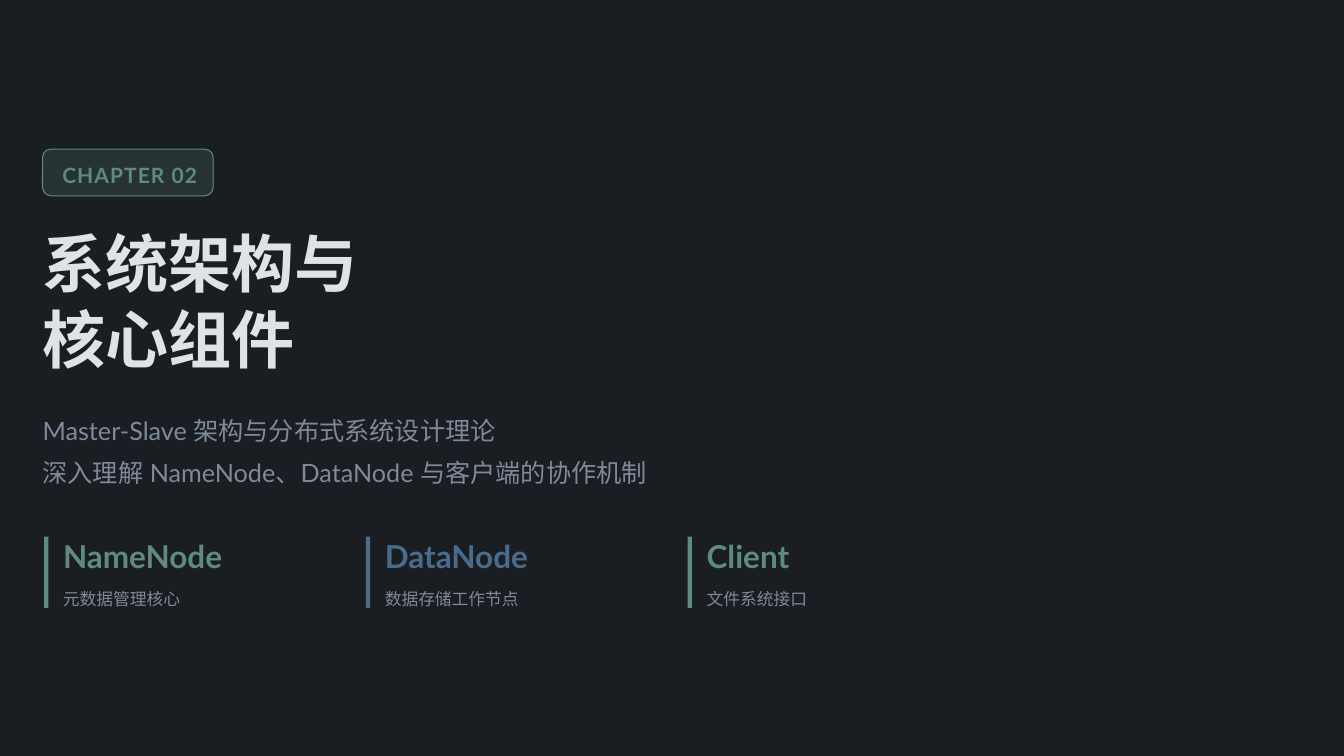
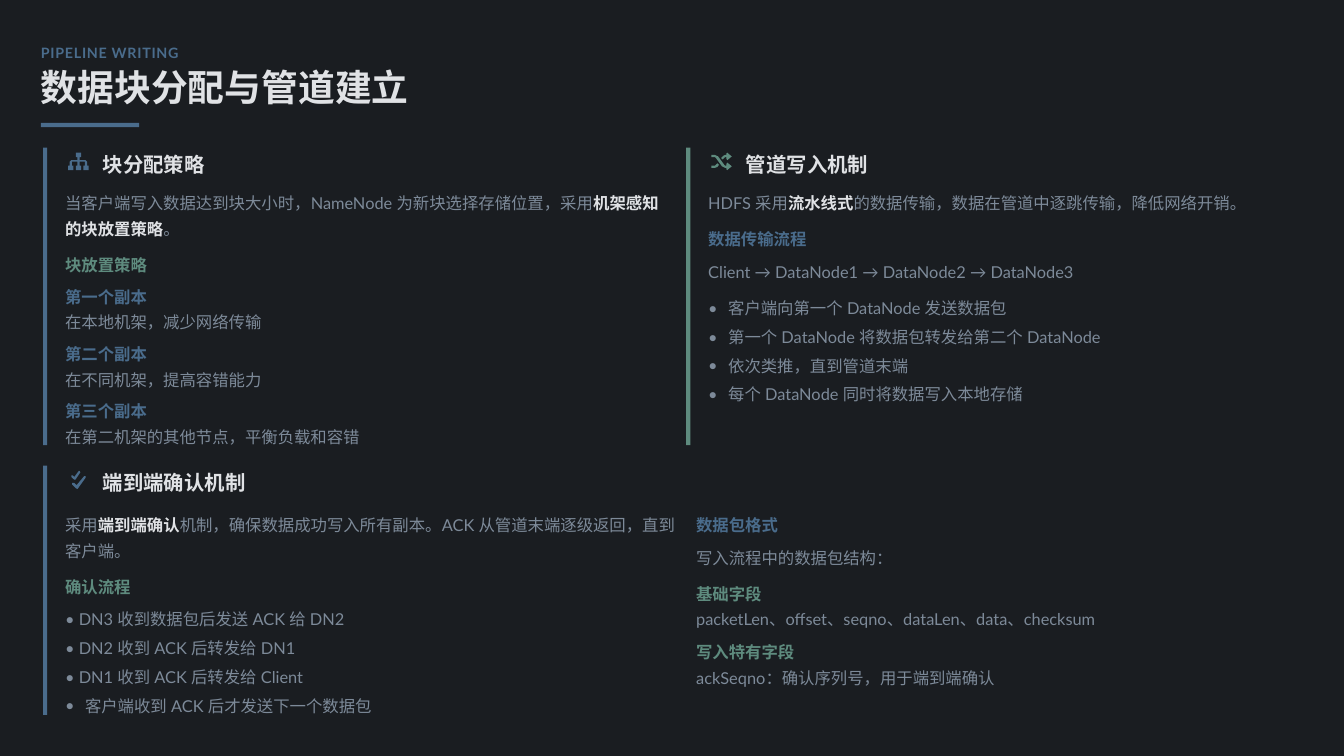
"""Build a chapter opener and a pipeline-writing slide on distributed storage."""
from lxml import etree
from pptx import Presentation
from pptx.dml.color import RGBColor
from pptx.enum import shapes, text
from pptx.oxml.ns import qn
from pptx.util import Pt

NIGHT = RGBColor(0x1A, 0x1D, 0x21)
GREEN = RGBColor(0x5E, 0x8B, 0x7E)
BLUE = RGBColor(0x4A, 0x6C, 0x8C)
LIGHT = RGBColor(0xE0, 0xE2, 0xE5)
GREY = RGBColor(0x7D, 0x8A, 0x99)
SANS, HEAVY = "Lato", "Noto Sans CJK SC"

CHAPTER = "CHAPTER 02"
CHAPTER_TITLE = ["系统架构与", "核心组件"]
CHAPTER_SUMMARY = ["Master-Slave 架构与分布式系统设计理论",
                   "深入理解 NameNode、DataNode 与客户端的协作机制"]
COMPONENTS = [("NameNode", "元数据管理核心", GREEN),
              ("DataNode", "数据存储工作节点", BLUE),
              ("Client", "文件系统接口", GREEN)]

EYEBROW = "PIPELINE WRITING"
PIPELINE_TITLE = "数据块分配与管道建立"

SITEMAP = [[(10, 2), (17, 2), (17, 8), (15, 8), (15, 12), (23, 12), (25, 14), (25, 19),
            (27, 19), (27, 25), (20, 25), (20, 19), (22, 19), (22, 14), (15, 14), (15, 19),
            (17, 19), (17, 25), (10, 25), (10, 19), (12, 19), (12, 14), (5, 14), (5, 19),
            (7, 19), (7, 25), (0, 25), (0, 19), (2, 19), (2, 14), (4, 12), (12, 12),
            (12, 8), (10, 8)]]
SHUFFLE = [[(21, 2), (27, 7), (21, 12), (20, 10), (20, 8), (18, 8), (15, 11), (13, 9),
            (16, 6), (18, 5), (20, 5), (20, 3)],
           [(8, 16), (10, 18), (8, 21), (5, 22), (0, 22), (0, 19), (5, 19)],
           [(21, 25), (20, 24), (20, 22), (18, 22), (14, 20), (6, 9), (5, 8), (0, 8),
            (0, 5), (5, 5), (9, 7), (17, 18), (18, 19), (20, 19), (20, 17), (21, 15),
            (27, 20)]]
CHECKS = [[(16, 4), (15, 2), (14, 2), (8, 10), (6, 8), (4, 8), (4, 10), (7, 13), (9, 14),
           (10, 13)],
          [(23, 11), (23, 9), (21, 9), (11, 21), (8, 18), (5, 18), (5, 20), (10, 25),
           (12, 26), (13, 25)]]

CARDS = [("块分配策略", SITEMAP, BLUE, 41, 140.5, 283.5),
         ("管道写入机制", SHUFFLE, GREEN, 653.5, 140.5, 283.5),
         ("端到端确认机制", CHECKS, BLUE, 41, 443.5, 237.5)]

# Each line: text with *strong* parts, colour, space before, bullet indent.
COLUMNS = [
    (62, 178.5, 574, [
        ("当客户端写入数据达到块大小时，NameNode 为新块选择存储位置，采用*机架感知的块放置策略*。", GREY, 0, 0),
        ("块放置策略", GREEN, 10, 0),
        ("第一个副本", BLUE, 6, 0),
        ("在本地机架，减少网络传输", GREY, 0, 0),
        ("第二个副本", BLUE, 6, 0),
        ("在不同机架，提高容错能力", GREY, 0, 0),
        ("第三个副本", BLUE, 6, 0),
        ("在第二机架的其他节点，平衡负载和容错", GREY, 0, 0)]),
    (674.5, 178.5, 574, [
        ("HDFS 采用*流水线式*的数据传输，数据在管道中逐跳传输，降低网络开销。", GREY, 0, 0),
        ("数据传输流程", BLUE, 10, 0),
        ("Client → DataNode1 → DataNode2 → DataNode3", GREY, 7, 0),
        ("客户端向第一个 DataNode 发送数据包", GREY, 10, 19),
        ("第一个 DataNode 将数据包转发给第二个 DataNode", GREY, 3, 19),
        ("依次类推，直到管道末端", GREY, 3, 19),
        ("每个 DataNode 同时将数据写入本地存储", GREY, 3, 19)]),
    (62, 485, 585, [
        ("采用*端到端确认*机制，确保数据成功写入所有副本。ACK 从管道末端逐级返回，直到客户端。", GREY, 0, 0),
        ("确认流程", GREEN, 10, 0),
        ("DN3 收到数据包后发送 ACK 给 DN2", GREY, 7, 13),
        ("DN2 收到 ACK 后转发给 DN1", GREY, 3, 13),
        ("DN1 收到 ACK 后转发给 Client", GREY, 3, 13),
        ("客户端收到 ACK 后才发送下一个数据包", GREY, 3, 19)]),
    (663, 485, 585, [
        ("数据包格式", BLUE, 0, 0),
        ("写入流程中的数据包结构：", GREY, 7, 0),
        ("基础字段", GREEN, 10, 0),
        ("packetLen、offset、seqno、dataLen、data、checksum", GREY, 0, 0),
        ("写入特有字段", GREEN, 7, 0),
        ("ackSeqno：确认序列号，用于端到端确认", GREY, 0, 0)]),
]


def place(shape, left, top, width, height):
    shape.left, shape.top, shape.width, shape.height = map(Pt, (left, top, width, height))
    return shape


def prepare(frame, anchor):
    frame.word_wrap = True
    frame.auto_size = text.MSO_AUTO_SIZE.NONE
    frame.vertical_anchor = anchor
    frame.margin_left = frame.margin_right = frame.margin_top = frame.margin_bottom = 0


def format_line(line, size, color, bold, spacing, face=SANS, before=0, indent=0, tracking=0):
    line.alignment = text.PP_ALIGN.LEFT
    line.line_spacing = spacing
    line.space_before, line.space_after = Pt(before), Pt(0)
    props = line._p.get_or_add_pPr()
    props.set("marL", str(Pt(indent)))
    props.set("indent", str(-Pt(indent)))
    if indent:
        etree.SubElement(props, qn("a:buFont"), typeface=SANS)
        etree.SubElement(props, qn("a:buChar"), char="•")
    else:
        etree.SubElement(props, qn("a:buNone"))
    font = line.font
    font.size, font.bold, font.name = Pt(size), bold, face
    font.color.rgb = color
    defaults = props.find(qn("a:defRPr"))
    etree.SubElement(defaults, qn("a:ea"), typeface=SANS)
    if tracking:
        defaults.set("spc", str(round(tracking * 100)))


def write(shape, lines, size, color, bold=False, spacing=1.0,
          anchor=text.MSO_ANCHOR.MIDDLE, **options):
    frame = shape.text_frame
    prepare(frame, anchor)
    frame.text = "\n".join(lines)
    for line in frame.paragraphs:
        format_line(line, size, color, bold, spacing, **options)


def write_column(shape, lines):
    frame = shape.text_frame
    prepare(frame, text.MSO_ANCHOR.TOP)
    for number, (words, color, before, indent) in enumerate(lines):
        line = frame.add_paragraph() if number else frame.paragraphs[0]
        format_line(line, 15.6, color, color != GREY, 1.3, before=before, indent=indent)
        for part, piece in enumerate(words.split("*")):
            run = line.add_run()
            run.text = piece
            if part % 2:
                run.font.bold = True
                run.font.color.rgb = LIGHT


def label(slide, box, *args, **options):
    write(slide.shapes.add_textbox(*map(Pt, box)), *args, **options)


def paint(shape, color):
    shape.shadow.inherit = False
    shape.fill.solid()
    shape.fill.fore_color.rgb = color
    shape.line.fill.background()


def bar(slide, box, color):
    paint(slide.shapes.add_shape(shapes.MSO_SHAPE.RECTANGLE, *map(Pt, box)), color)


def icon(slide, contours, left, top, color):
    first, *others = contours
    outline = slide.shapes.build_freeform(*first[0], scale=Pt(0.72))
    outline.add_line_segments(first[1:])
    for contour in others:
        outline.move_to(*contour[0])
        outline.add_line_segments(contour[1:])
    paint(outline.convert_to_shape(Pt(left), Pt(top)), color)


def chapter_slide(deck):
    slide = deck.slides.add_slide(deck.slide_layouts[0])
    badge = slide.shapes.add_shape(shapes.MSO_SHAPE.ROUNDED_RECTANGLE,
                                   *map(Pt, (40.5, 142, 162.5, 44.5)))
    paint(badge, GREEN)
    badge.adjustments[0] = 0.18
    badge.line.color.rgb = GREEN
    badge.line.width = Pt(1)
    tint = badge.fill._xPr.find(qn("a:solidFill"))[0]
    etree.SubElement(tint, qn("a:alpha"), val="20000")
    write(badge, [CHAPTER], 20, GREEN, True, 1.2, tracking=1)
    badge.text_frame.margin_left = Pt(16.5)

    write(place(slide.shapes.title, 40.5, 211, 1230, 150), CHAPTER_TITLE, 60, LIGHT, True,
          face=HEAVY)
    write(place(slide.placeholders[1], 40.5, 385, 1212, 78), CHAPTER_SUMMARY, 24, GREY,
          spacing=1.4)
    for number, (name, role, color) in enumerate(COMPONENTS):
        left = 42 + 306.5 * number
        bar(slide, (left, 511, 4, 68), color)
        label(slide, (left + 18, 511, 278, 36), [name], 30, color, True)
        label(slide, (left + 18, 555, 271, 24), [role], 16, GREY, spacing=1.3)


def pipeline_slide(deck):
    slide = deck.slides.add_slide(deck.slide_layouts[4])
    label(slide, (39, 39, 1209, 19.5), [EYEBROW], 13.6, BLUE, True, 1.2, tracking=0.7)
    write(place(slide.shapes.title, 39, 66, 1220, 39), [PIPELINE_TITLE], 35, LIGHT, True,
          0.9, face=HEAVY)
    bar(slide, (39, 117, 93.5, 4), BLUE)
    for heading, contours, color, left, top, height in CARDS:
        bar(slide, (left, top, 4, height), color)
        icon(slide, contours, left + 24, top + 3.5, color)
        label(slide, (left + 57, top, 160, 27.5), [heading], 19.4, LIGHT, True, 1.2)
    for number, (left, top, width, lines) in enumerate(COLUMNS, 1):
        column = place(slide.placeholders[number], left, top, width, 246 if number < 3 else 196)
        write_column(column, lines)


def main():
    deck = Presentation()
    deck.slide_width, deck.slide_height = Pt(1280), Pt(720)
    backdrop = deck.slide_master.background.fill
    backdrop.solid()
    backdrop.fore_color.rgb = NIGHT
    chapter_slide(deck)
    pipeline_slide(deck)
    deck.save("out.pptx")


if __name__ == "__main__":
    main()
